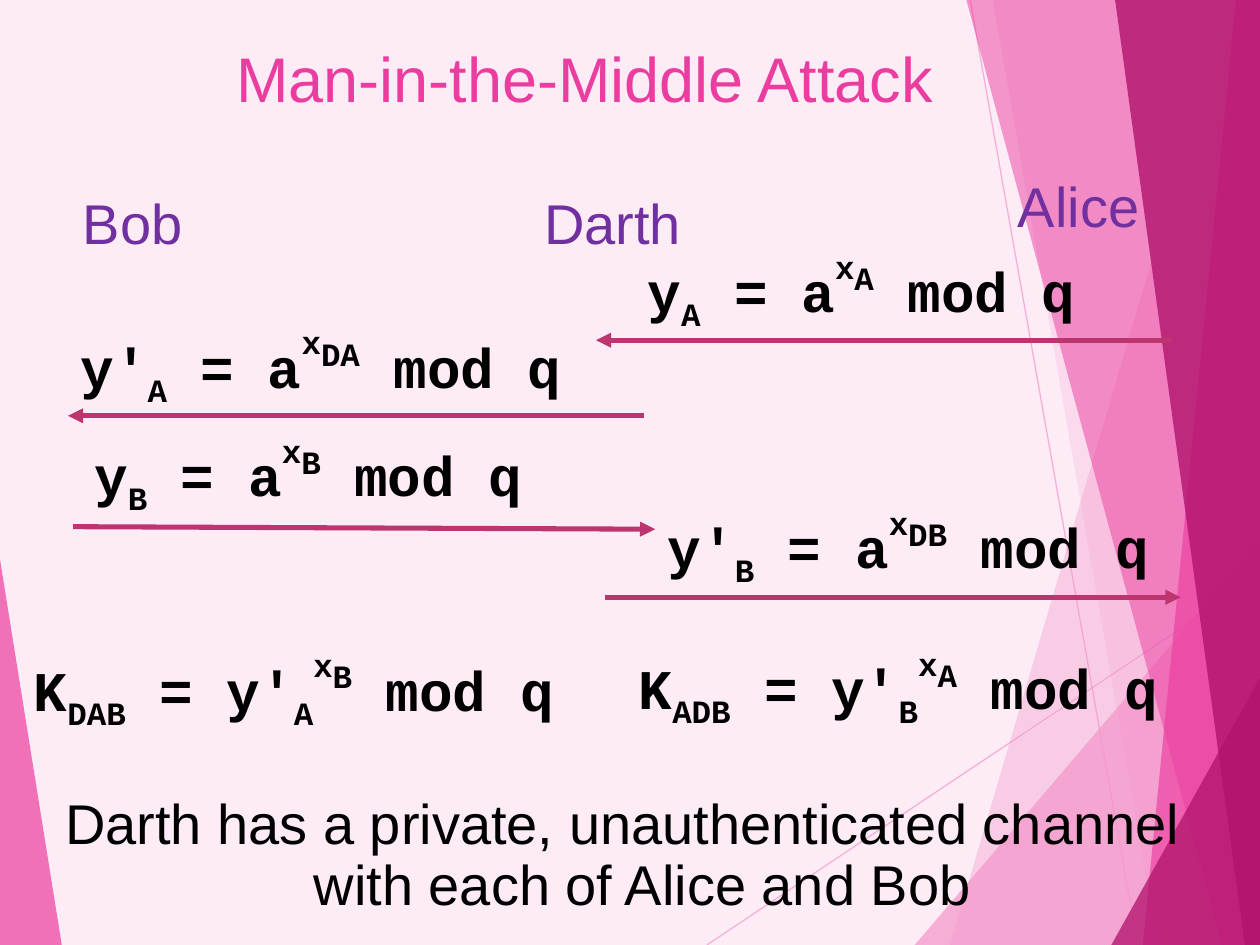
"""Build the Man-in-the-Middle Attack slide."""
from lxml.etree import SubElement
from pptx import Presentation
from pptx.dml.color import RGBColor
from pptx.enum.shapes import MSO_CONNECTOR
from pptx.enum.text import MSO_ANCHOR, MSO_AUTO_SIZE, PP_ALIGN
from pptx.oxml.ns import qn
from pptx.util import Inches, Pt

PINK, ROSE, WINE = "F496CB", "EB3D9F", "B2136D"
PURPLE, BLACK, ARROW = "7030A0", "000000", "BC356F"


def paint(fill, hue, alpha=100):
    """Make a fill solid, with an opacity in percent."""
    fill.solid()
    fill.fore_color.rgb = RGBColor.from_string(hue)
    if alpha < 100:
        color = fill._xPr.find(qn("a:solidFill"))[0]
        SubElement(color, qn("a:alpha"), val=str(alpha * 1000))


def link(ends, hue, width, alpha=100):
    """Draw a straight line without a shadow."""
    line = slide.shapes.add_connector(MSO_CONNECTOR.STRAIGHT, *map(Inches, ends))
    paint(line.line.fill, hue, alpha)
    line.line.width = Pt(width)
    SubElement(line._element.spPr, qn("a:effectLst"))
    return line


deck = Presentation()
deck.slide_width, deck.slide_height = Inches(10), Inches(7.5)
slide = deck.slides.add_slide(deck.slide_layouts[5])
paint(slide.background.fill, "FDECF6")

for ends in [(5.61, 7.5, 10, 4.57), (7.7, 0, 9.03, 7.5)]:
    link(ends, PINK, 0.75, 70)

facets = [
    ([(9.75, 0), (7.54, 7.5), (10, 7.5), (10, 0)], PINK, 36),
    ([(7.88, 0), (9.19, 7.5), (10, 7.5), (10, 0)], PINK, 20),
    ([(7.26, 7.5), (10, 4.29), (10, 7.5)], PINK, 72),
    ([(7.67, 0), (9.7, 7.5), (10, 7.5), (10, 0)], ROSE, 50),
    ([(9.81, 0), (9.07, 7.5), (10, 7.5), (10, 0)], ROSE, 66),
    ([(8.85, 0), (9.88, 7.5), (10, 7.5), (10, 0)], WINE, 80),
    ([(8.82, 7.5), (10, 5.38), (10, 7.5)], WINE, 76),
    ([(0, 4.44), (0.49, 7.5), (0, 7.5)], ROSE, 70),
]
for points, hue, alpha in facets:
    corners = [(Inches(x), Inches(y)) for x, y in points]
    pen = slide.shapes.build_freeform(*corners[0])
    pen.add_line_segments(corners[1:])
    facet = pen.convert_to_shape()
    facet.shadow.inherit = False
    facet.line.fill.background()
    paint(facet.fill, hue, alpha)

title = slide.shapes.title
title.left, title.top, title.width, title.height = map(Inches, (0.14, -0.01, 9, 1.25))
title.text_frame.text = "Man-in-the-Middle Attack"
title.text_frame.vertical_anchor = MSO_ANCHOR.MIDDLE
head = title.text_frame.paragraphs[0]
head.alignment = PP_ALIGN.CENTER
font = head.runs[0].font
font.name, font.size = "Arial", Pt(36)
paint(font.fill, ROSE)

names = [("Bob", 0.56, 1.45, 1), ("Darth", 4.22, 1.45, 1.32), ("Alice", 7.98, 1.31, 1.25)]
for name, left, top, width in names:
    label = slide.shapes.add_textbox(*map(Inches, (left, top, width, 0.63)))
    label.text_frame.word_wrap = True
    label.text_frame.auto_size = MSO_AUTO_SIZE.NONE
    label.text_frame.text = name
    font = label.text_frame.paragraphs[0].runs[0].font
    font.name, font.size = "Arial", Pt(32)
    paint(font.fill, PURPLE)

for ends in [
    (9.3, 2.7, 4.73, 2.7),
    (5.11, 3.3, 0.54, 3.3),
    (0.58, 4.18, 5.2, 4.2),
    (4.8, 4.74, 9.37, 4.74),
]:
    arrow = link(ends, ARROW, 2.89)
    SubElement(arrow.line._get_or_add_ln(), qn("a:tailEnd"), type="triangle")

bases = [0, -25, 0, -25, 60, 40, 0]
near, far = (0.37, 0.37, 7), (0.81, 0.31, 6)
notes = [
    (5.04, 1.94, 4.86, near, ["y", "A", " = a", "", "x", "A", " mod q"]),
    (0.54, 2.54, 4.86, near, ["y'", "A", " = a", "", "x", "DA", " mod q"]),
    (0.65, 3.4, 5.02, near, ["y", "B", " = a", "", "x", "B", " mod q"]),
    (5.2, 3.97, 4.37, near, ["y'", "B", " = a", "", "x", "DB", " mod q"]),
    (-0.33, 5.1, 5.25, far, ["K", "DAB", " = y'", "A", "x", "B", " mod q"]),
    (4.97, 5.09, 4.72, near, ["K", "ADB", " = y'", "B", "x", "A", " mod q"]),
    (-0.33, 6.27, 10.05, far,
     ["Darth has a private, unauthenticated channel with each of Alice and Bob"]),
]
for left, top, width, (margin, indent, space), parts in notes:
    math = len(parts) > 1
    box = slide.shapes.add_textbox(*map(Inches, (left, top, width, 0.94 if math else 1.3)))
    box.text_frame.word_wrap = True
    para = box.text_frame.paragraphs[0]
    para.line_spacing, para.space_before = 0.9, Pt(space)
    para.alignment = PP_ALIGN.LEFT if math else PP_ALIGN.CENTER
    props = para._p.get_or_add_pPr()
    props.set("marL", str(Inches(margin)))
    props.set("indent", str(-Inches(indent)))
    for text, base in zip(parts, bases):
        if text:
            run = para.add_run()
            run.text = text
            run.font.name = "Courier New" if math else "Arial"
            run.font.size, run.font.bold = Pt(32), math
            paint(run.font.fill, BLACK)
            if base:
                run.font._element.set("baseline", str(base * 1000))

deck.save("out.pptx")
